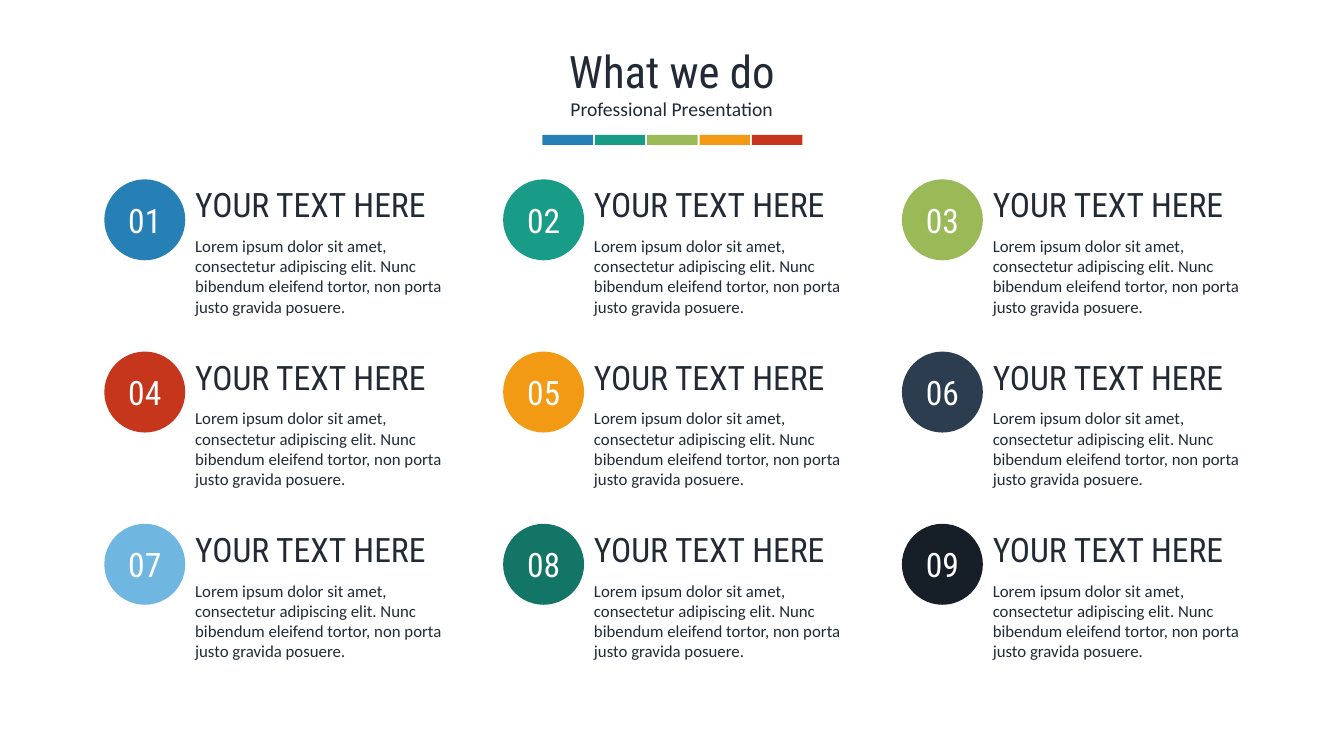
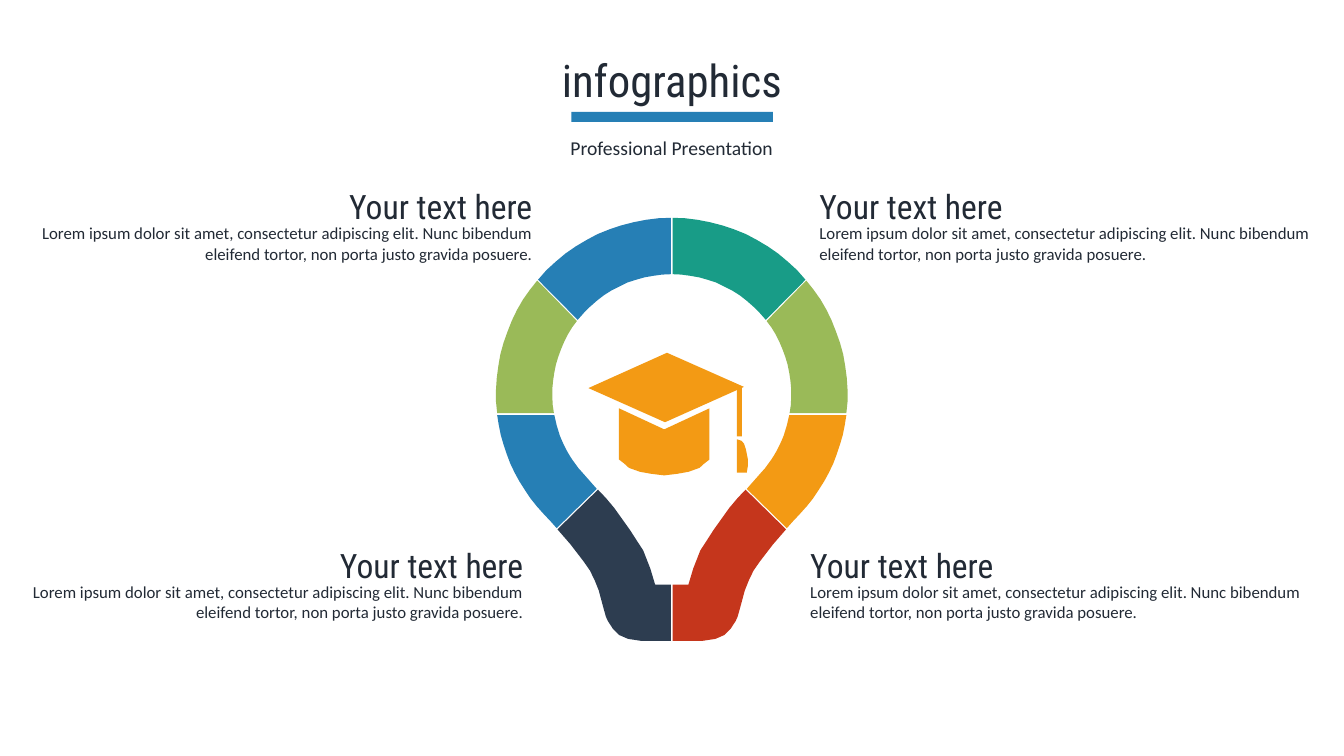
import math

import pptx
import pptx.dml.color
import pptx.enum.shapes
import pptx.enum.text
import pptx.util

Cm = pptx.util.Cm
ALIGN = pptx.enum.text.PP_ALIGN
ANCHOR = pptx.enum.text.MSO_ANCHOR
PRESET = pptx.enum.shapes.MSO_SHAPE

COLOURS = {
    "ink": "222A35", "white": "FFFFFF", "blue": "267FB5", "teal": "189C87",
    "green": "9ABA58", "orange": "F39A14", "red": "C5361C", "navy": "2D3D50",
    "sky": "6FB6E1", "pine": "127565", "night": "161E28",
}
HEADING_FONT = "Roboto Condensed"
BODY_FONT = "Calibri"
SLIDE_WIDTH, SLIDE_HEIGHT = 33.87, 19.05
TAGLINE = "Professional Presentation"
LOREM = ("Lorem ipsum dolor sit amet, consectetur adipiscing elit. Nunc bibendum "
         "eleifend tortor, non porta justo gravida posuere.")


def rgb(colour):
    return pptx.dml.color.RGBColor.from_string(COLOURS[colour])


def write(frame, text, *, size=12, font=BODY_FONT, colour="ink",
          align=ALIGN.LEFT, anchor=ANCHOR.TOP, wrap=True):
    """Put one formatted paragraph into a text frame."""
    frame.word_wrap = wrap
    frame.auto_size = pptx.enum.text.MSO_AUTO_SIZE.NONE
    frame.vertical_anchor = anchor
    frame.text = text
    paragraph = frame.paragraphs[0]
    paragraph.alignment = align
    paragraph.font.size = pptx.util.Pt(size)
    paragraph.font.name = font
    paragraph.font.color.rgb = rgb(colour)


def arc(radius, start, end, steps=12):
    """Points around the bulb's centre; degrees run clockwise from the top."""
    angles = [math.radians(start + (end - start) * i / steps) for i in range(steps + 1)]
    return [(radius * math.sin(a), BULB_Y - radius * math.cos(a)) for a in angles]


def across(axis, points, side=1):
    """Turn distances from a vertical axis into slide positions."""
    return [(axis + side * x, y) for x, y in points]


class Deck:
    """Shared style and the slide being built; all lengths are in centimetres."""

    def __init__(self):
        self.file = pptx.Presentation()
        self.file.slide_width = Cm(SLIDE_WIDTH)
        self.file.slide_height = Cm(SLIDE_HEIGHT)
        self.slide = None

    def start(self, title, title_top, tagline_top):
        self.slide = self.file.slides.add_slide(self.file.slide_layouts[5])
        heading = self.slide.shapes.title
        heading.left, heading.top = Cm(0), Cm(title_top)
        heading.width, heading.height = Cm(SLIDE_WIDTH), Cm(1.63)
        write(heading.text_frame, title, size=32, font=HEADING_FONT, align=ALIGN.CENTER)
        self.text(1.73, tagline_top, 30.4, 0.86, TAGLINE, size=14, align=ALIGN.CENTER)

    def text(self, left, top, width, height, text, **style):
        box = self.slide.shapes.add_textbox(Cm(left), Cm(top), Cm(width), Cm(height))
        write(box.text_frame, text, **style)

    def paint(self, shape, colour):
        shape.shadow.inherit = False
        shape.fill.solid()
        shape.fill.fore_color.rgb = rgb(colour)
        shape.line.fill.background()
        return shape

    def shape(self, preset, left, top, width, height, colour):
        return self.paint(self.slide.shapes.add_shape(
            preset, Cm(left), Cm(top), Cm(width), Cm(height)), colour)

    def bar(self, left, top, width, height, colour):
        self.shape(PRESET.RECTANGLE, left, top, width, height, colour)

    def badge(self, left, top, diameter, label, colour):
        frame = self.shape(PRESET.OVAL, left, top, diameter, diameter, colour).text_frame
        write(frame, label, size=24, font=HEADING_FONT, colour="white",
              align=ALIGN.CENTER, anchor=ANCHOR.MIDDLE, wrap=False)

    def outline(self, points, colour):
        grid = [(x * 100, y * 100) for x, y in points]
        builder = self.slide.shapes.build_freeform(*grid[0], scale=Cm(0.01))
        builder.add_line_segments(grid[1:], close=True)
        self.paint(builder.convert_to_shape(), colour)

    def topic(self, left, top, width, heading, body_drop, body_height, align=ALIGN.LEFT):
        self.text(left, top + body_drop, width, body_height, LOREM, align=align)
        self.text(left, top, width, 1.27, heading, size=24, font=HEADING_FONT, align=align)


# Bulb geometry: right half as distances from the vertical axis
BULB_X, BULB_Y = 16.93, 9.92
OUTER, INNER = 4.43, 3.01
CROWN = arc(OUTER, 0.2, 49.6) + arc(INNER, 51.8, 0.3)
SHOULDER = arc(OUTER, 50, 96.4) + arc(INNER, 99.4, 52.5)
CHEEK = (arc(OUTER, 97, 136.4) + [(2.9, 13.31), (1.89, 12.32)]
         + arc(INNER, 131.2, 100.3))
NECK = [
    (1.86, 12.34), (2.88, 13.34), (2.55, 13.72), (2.22, 14.15), (2.06, 14.38),
    (1.94, 14.63), (1.84, 14.88), (1.73, 15.29), (1.66, 15.54), (1.61, 15.65),
    (1.48, 15.85), (1.33, 16), (1.1, 16.1), (0.77, 16.15), (0.02, 16.15),
    (0.02, 14.73), (0.42, 14.73), (0.54, 14.33), (0.72, 13.87), (0.87, 13.64),
    (1.05, 13.36), (1.25, 13.08), (1.45, 12.8), (1.66, 12.55),
]
# Each part with its left and right colour
BULB = [(CROWN, "blue", "teal"), (SHOULDER, "green", "green"),
        (CHEEK, "blue", "orange"), (NECK, "navy", "red")]

# Graduation cap
CAP_X = 16.74
CAP_BOARD = [(16.81, 8.89), (18.75, 9.75), (16.76, 10.64), (14.83, 9.78)]
CAP_HALF = [(0, 10.82), (1.14, 10.29), (1.14, 11.58), (1.01, 11.68), (0.89, 11.79),
            (0.61, 11.89), (0.33, 11.94), (0, 11.98)]
TASSEL = [(18.57, 11.07), (18.69, 11.11), (18.75, 11.18), (18.8, 11.33),
          (18.85, 11.58), (18.85, 11.73), (18.82, 11.91), (18.57, 11.91)]


def build_services(deck):
    deck.start("What we do", 0.97, 2.31)
    for i, colour in enumerate(["blue", "teal", "green", "orange", "red"]):
        deck.bar(13.67 + 1.32 * i, 3.4, 1.27, 0.25, colour)

    # Three by three numbered topics
    badge_colours = ["blue", "teal", "green", "red", "orange", "navy",
                     "sky", "pine", "night"]
    for i, colour in enumerate(badge_colours):
        row, column = divmod(i, 3)
        x, y = 10.05 * column, 4.52 + 4.34 * row
        deck.badge(2.63 + x, y, 2.04, f"{i + 1:02}", colour)
        deck.topic(4.67 + x, y, 7.37, "YOUR TEXT HERE", 1.3, 2.31)


def build_infographic(deck):
    deck.start("infographics", 1.19, 3.3)
    deck.bar(14.4, 2.82, 5.08, 0.25, "blue")

    # Cap inside the bulb
    cap_body = across(CAP_X, CAP_HALF) + across(CAP_X, CAP_HALF[-2:0:-1], -1)
    for part in (CAP_BOARD, cap_body, TASSEL):
        deck.outline(part, "orange")
    deck.bar(18.57, 9.73, 0.13, 1.27, "orange")

    # Bulb, both halves from the same outlines
    for part, left_colour, right_colour in BULB:
        deck.outline(across(BULB_X, part, -1), left_colour)
        deck.outline(across(BULB_X, part), right_colour)

    # Topics around the bulb
    for left, top in [(0, 4.57), (-0.23, 13.61)]:
        for shift, align in [(0, ALIGN.RIGHT), (20.4, ALIGN.LEFT)]:
            deck.topic(left + shift, top, 13.67, "Your text here", 0.93, 1.27, align)


def main():
    deck = Deck()
    build_services(deck)
    build_infographic(deck)
    deck.file.save("out.pptx")


if __name__ == "__main__":
    main()
